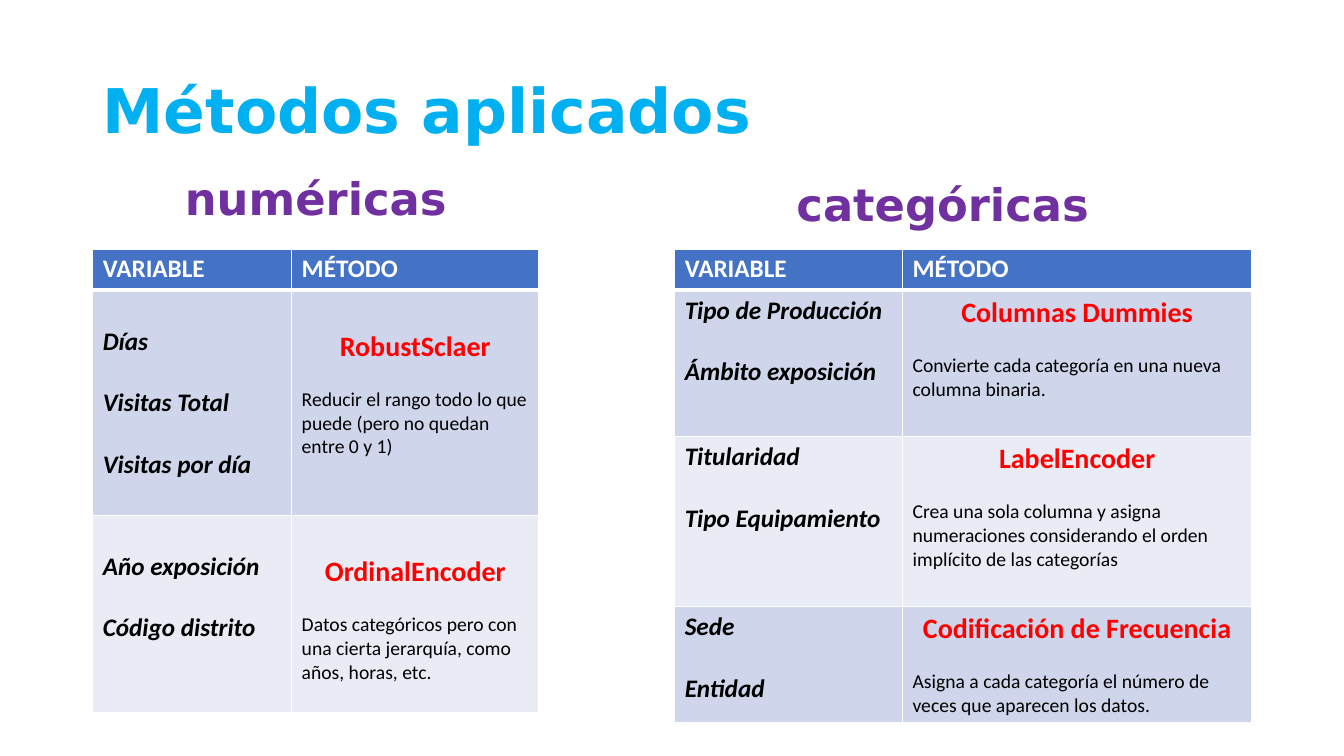
from dataclasses import dataclass

import pptx
import pptx.dml.color
import pptx.enum.text
import pptx.oxml.ns
import pptx.util
from lxml import etree

ALIGN = pptx.enum.text.PP_ALIGN
SLIDE_WIDTH = pptx.util.Inches(13.333)
SLIDE_HEIGHT = pptx.util.Inches(7.5)


@dataclass(frozen=True)
class TextStyle:
    size: int
    color: str
    bold: bool = True
    italic: bool = False
    align: ALIGN = ALIGN.LEFT
    font: str = "Calibri"
    line_spacing: float = 1.0


@dataclass(frozen=True)
class Theme:
    title: TextStyle = TextStyle(44, "00B0F0", font="DejaVu Sans", line_spacing=0.9)
    subtitle: TextStyle = TextStyle(
        32, "7030A0", align=ALIGN.CENTER, font="DejaVu Sans", line_spacing=0.9)
    header: TextStyle = TextStyle(18, "FFFFFF")
    variable: TextStyle = TextStyle(18, "000000", italic=True)
    method: TextStyle = TextStyle(20, "FF0000", align=ALIGN.CENTER)
    description: TextStyle = TextStyle(14, "000000", bold=False)
    header_fill: str = "4472C4"
    band_fills: tuple[str, str] = ("CFD5EA", "E9EBF5")
    border: str = "FFFFFF"
    thin_border: int = 1
    thick_border: int = 3
    line_factor: float = 1.22


THEME = Theme()


@dataclass(frozen=True)
class Heading:
    """Box sides are percentages of the slide's width and height."""
    text: str
    left: float
    top: float
    width: float
    style: TextStyle


@dataclass(frozen=True)
class Method:
    name: str
    description: str
    variables: tuple[str, ...]
    height: float


@dataclass(frozen=True)
class MethodTable:
    left: float
    column_widths: tuple[float, float]
    methods: tuple[Method, ...]
    lead_in: bool


MARGIN = 6.9
HEADING_HEIGHT = 19.33
TABLE_TOP = 32.93
HEADER_HEIGHT = 5.47

HEADINGS = (
    Heading("Métodos aplicados", MARGIN, 5.33, 86.25, THEME.title),
    Heading("numéricas", MARGIN, 16.93, 33.2, THEME.subtitle),
    Heading("categóricas", 53.55, 17.73, 33.2, THEME.subtitle),
)

TABLES = (
    MethodTable(MARGIN, (14.8, 18.4), (
        Method("RobustSclaer",
               "Reducir el rango todo lo que puede (pero no quedan entre 0 y 1)",
               ("Días", "Visitas Total", "Visitas por día"), 29.8),
        Method("OrdinalEncoder",
               "Datos categóricos pero con una cierta jerarquía, como años, horas, etc.",
               ("Año exposición", "Código distrito"), 26.1),
    ), lead_in=True),
    MethodTable(50.2, (16.95, 26), (
        Method("Columnas Dummies",
               "Convierte cada categoría en una nueva columna binaria.",
               ("Tipo de Producción", "Ámbito exposición"), 19.35),
        Method("LabelEncoder",
               "Crea una sola columna y asigna numeraciones considerando el orden "
               "implícito de las categorías",
               ("Titularidad", "Tipo Equipamiento"), 22.5),
        Method("Codificación de Frecuencia",
               "Asigna a cada categoría el número de veces que aparecen los datos.",
               ("Sede", "Entidad"), 15.35),
    ), lead_in=False),
)


def across(percent: float) -> int:
    return round(SLIDE_WIDTH * percent / 100)


def down(percent: float) -> int:
    return round(SLIDE_HEIGHT * percent / 100)


def line_height(style: TextStyle) -> int:
    return pptx.util.Pt(style.size * THEME.line_factor)


def write_lines(text_frame, lines: list[tuple[str, TextStyle]]) -> None:
    """Write one paragraph per line, with a line's height between them."""
    for index, (text, style) in enumerate(lines):
        paragraph = text_frame.paragraphs[0] if index == 0 else text_frame.add_paragraph()
        paragraph.text = text
        paragraph.alignment = style.align
        paragraph.line_spacing = style.line_spacing
        if index:
            paragraph.space_before = line_height(style)
        font = paragraph.font
        font.name = style.font
        font.size = pptx.util.Pt(style.size)
        font.bold = style.bold
        font.italic = style.italic
        font.color.rgb = pptx.dml.color.RGBColor.from_string(style.color)


def draw_heading(slide, heading: Heading) -> None:
    shape = slide.shapes.add_textbox(across(heading.left), down(heading.top),
                                     across(heading.width), down(HEADING_HEIGHT))
    shape.text_frame.word_wrap = True
    shape.text_frame.vertical_anchor = pptx.enum.text.MSO_ANCHOR.MIDDLE
    write_lines(shape.text_frame, [(heading.text, heading.style)])


def style_cell(cell, fill: str, is_header: bool) -> None:
    """Set borders, then the fill, in the order the file format asks for."""
    sides = {"lnL": THEME.thin_border, "lnR": THEME.thin_border}
    if is_header:
        sides["lnT"] = THEME.thin_border
    sides["lnB"] = THEME.thick_border if is_header else THEME.thin_border
    properties = cell._tc.get_or_add_tcPr()
    qualify = pptx.oxml.ns.qn
    for side, width in sides.items():
        line = etree.SubElement(properties, qualify(f"a:{side}"), w=str(pptx.util.Pt(width)))
        solid = etree.SubElement(line, qualify("a:solidFill"))
        etree.SubElement(solid, qualify("a:srgbClr"), val=THEME.border)
    cell.fill.solid()
    cell.fill.fore_color.rgb = pptx.dml.color.RGBColor.from_string(fill)


def draw_table(slide, spec: MethodTable) -> None:
    heights = [HEADER_HEIGHT] + [method.height for method in spec.methods]
    table = slide.shapes.add_table(
        len(heights), len(spec.column_widths), across(spec.left), down(TABLE_TOP),
        across(sum(spec.column_widths)), down(sum(heights))).table
    for column, width in zip(table.columns, spec.column_widths):
        column.width = across(width)
    for row, height in zip(table.rows, heights):
        row.height = down(height)
    for cell, text in zip(table.rows[0].cells, ("VARIABLE", "MÉTODO")):
        style_cell(cell, THEME.header_fill, is_header=True)
        write_lines(cell.text_frame, [(text, THEME.header)])
    for index, method in enumerate(spec.methods):
        contents = (
            [(variable, THEME.variable) for variable in method.variables],
            [(method.name, THEME.method), (method.description, THEME.description)],
        )
        for cell, lines in zip(table.rows[index + 1].cells, contents):
            style_cell(cell, THEME.band_fills[index % 2], is_header=False)
            if spec.lead_in:
                cell.margin_top = pptx.util.Inches(0.05) + line_height(lines[0][1])
            write_lines(cell.text_frame, lines)


def main() -> None:
    presentation = pptx.Presentation()
    presentation.slide_width = SLIDE_WIDTH
    presentation.slide_height = SLIDE_HEIGHT
    slide = presentation.slides.add_slide(presentation.slide_layouts[6])
    for heading in HEADINGS:
        draw_heading(slide, heading)
    for table in TABLES:
        draw_table(slide, table)
    presentation.save("out.pptx")


if __name__ == "__main__":
    main()
